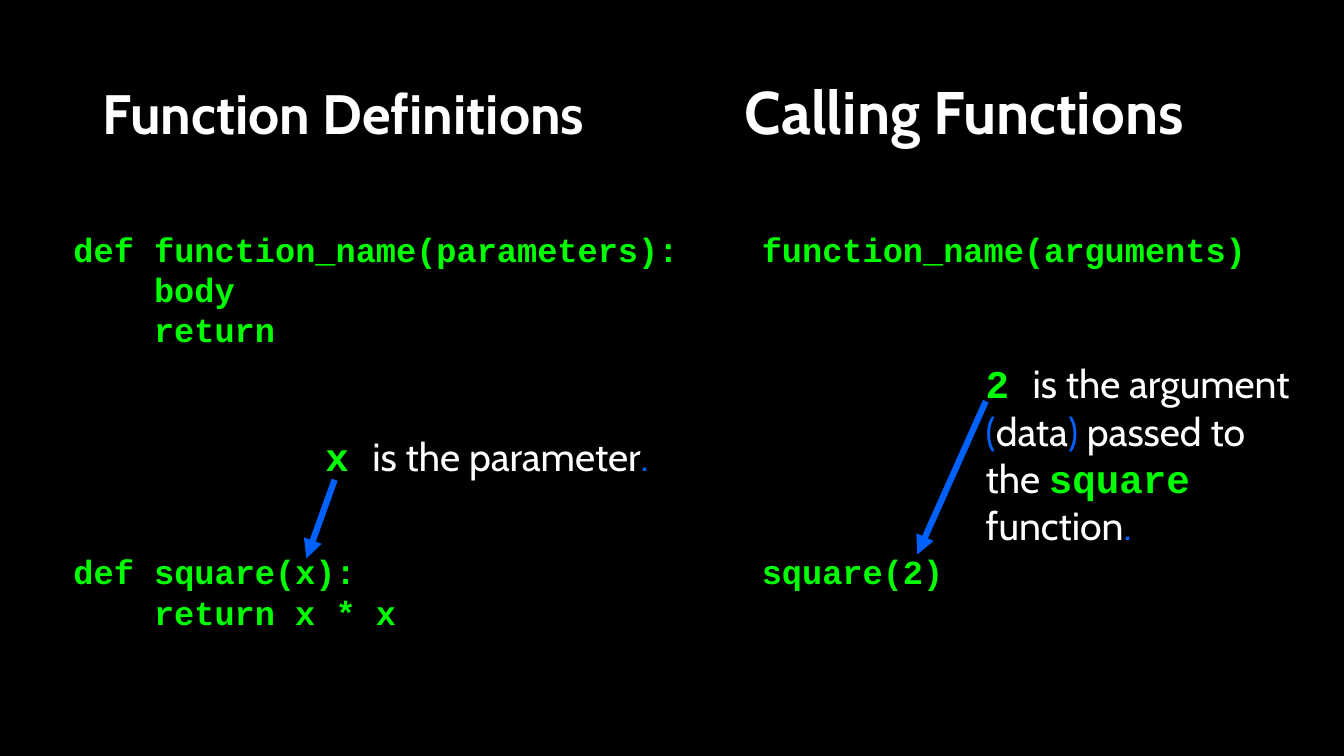
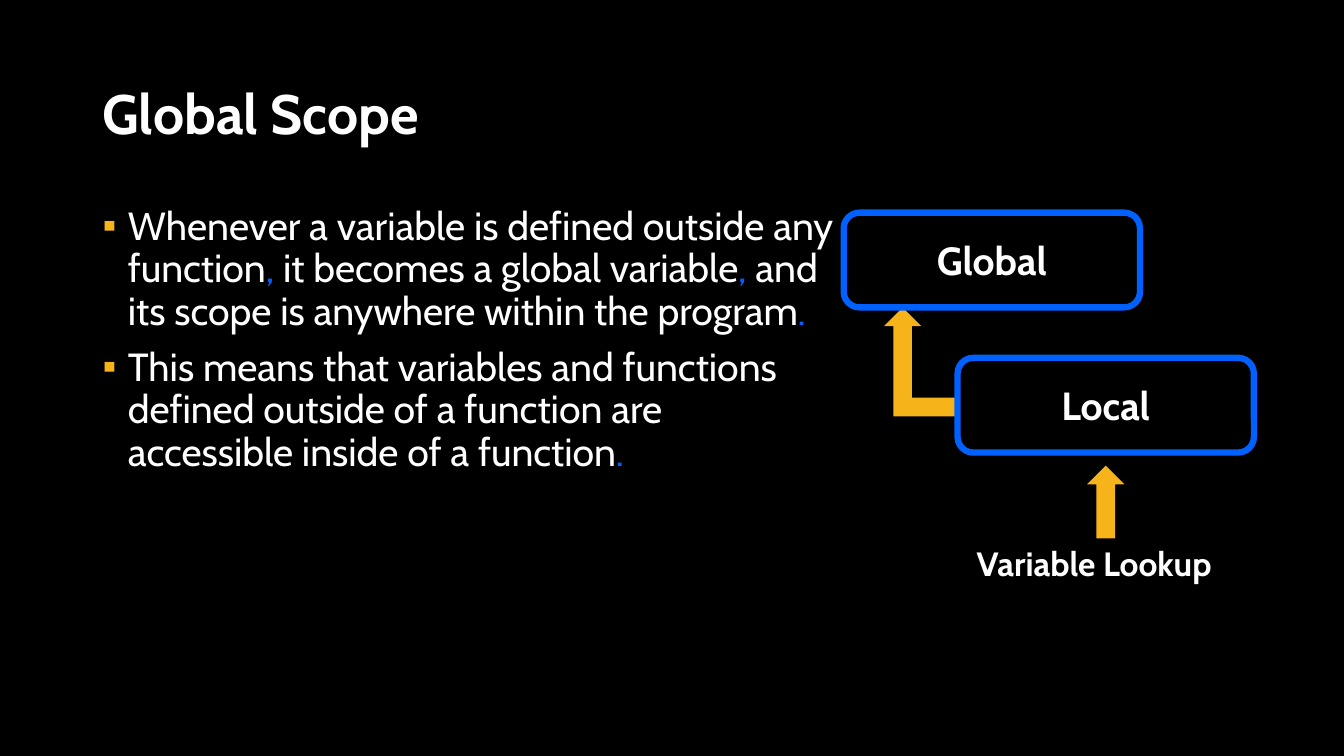
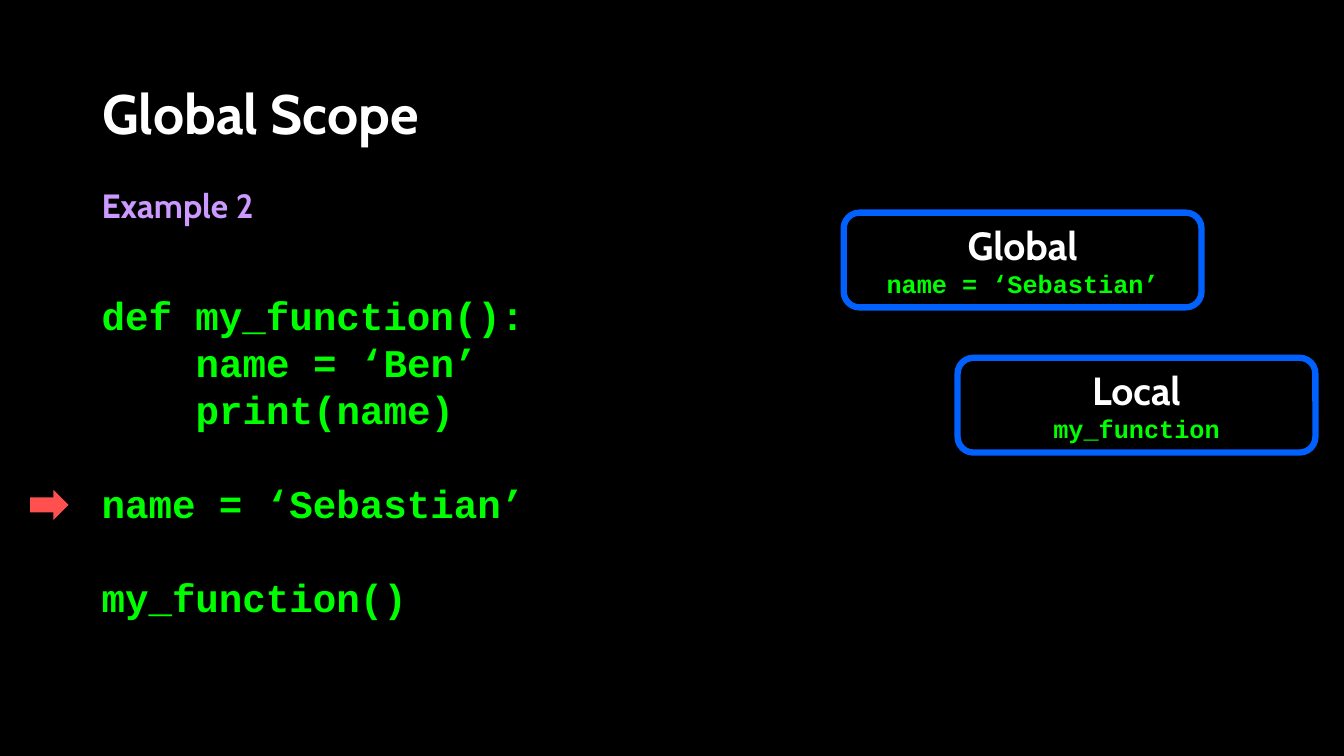
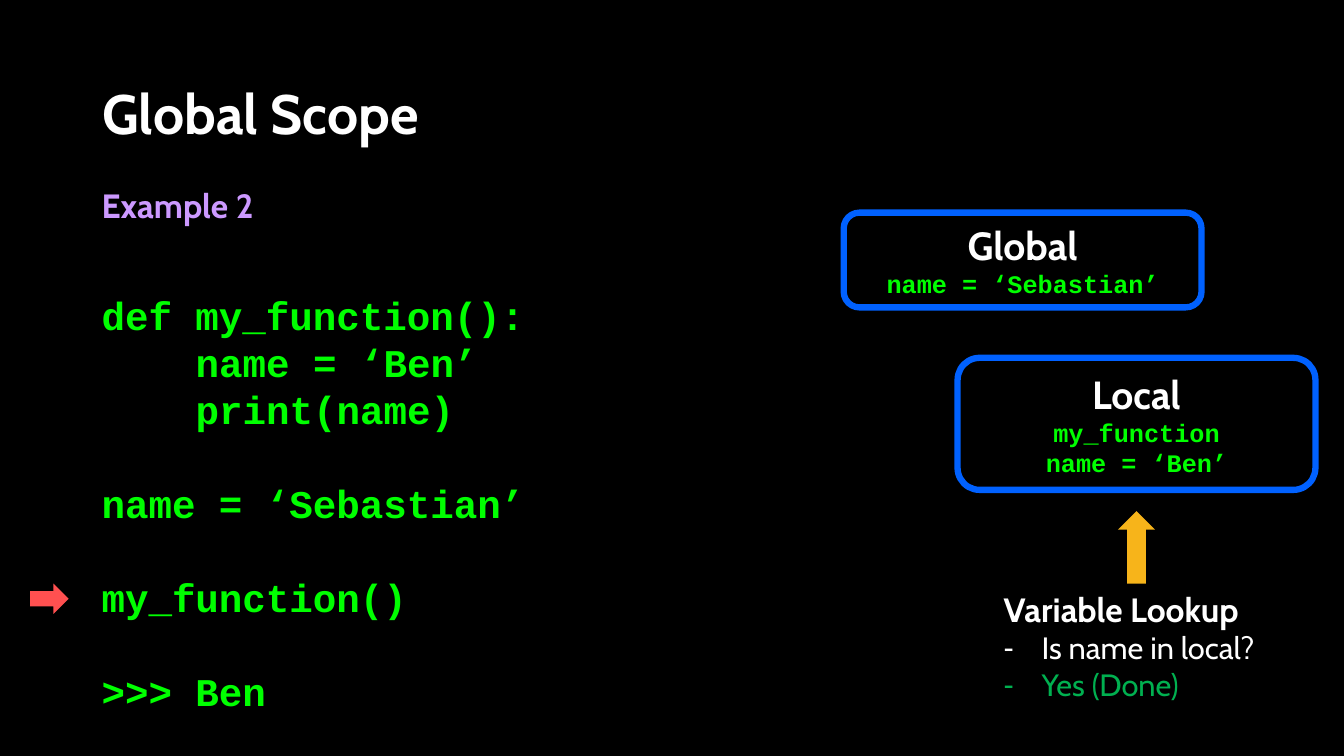
from dataclasses import dataclass
from typing import NamedTuple

from lxml import etree
from pptx import Presentation
from pptx.dml.color import RGBColor
from pptx.enum.shapes import MSO_CONNECTOR, MSO_SHAPE
from pptx.enum.text import MSO_ANCHOR, PP_ALIGN
from pptx.oxml.ns import qn
from pptx.util import Emu, Inches, Pt

LINE = MSO_CONNECTOR.STRAIGHT
ROUND = MSO_SHAPE.ROUNDED_RECTANGLE
UP = MSO_SHAPE.UP_ARROW
BENT = MSO_SHAPE.BENT_UP_ARROW
RIGHT = MSO_SHAPE.RIGHT_ARROW
TOP, MIDDLE = MSO_ANCHOR.TOP, MSO_ANCHOR.MIDDLE
CENTER = PP_ALIGN.CENTER

# The slide is a grid of 80 columns and 45 rows.
CELL = Inches(1 / 6)
COLS, ROWS = 80, 45

BLACK, WHITE, GREEN, BLUE = "000000", "FFFFFF", "00FF00", "0061FF"
GOLD, RED, LILAC, LEAF = "F7B41A", "FF5050", "CC99FF", "00B050"
SANS, MONO = "Cabin", "Courier New"
LEAD = 1.2      # height of a code line, as a share of its size
TAB = 4 * 0.6   # width of four code letters, as a share of their size
STROKE = 4.5


class Style(NamedTuple):
    size: float
    color: str = WHITE
    font: str = SANS
    bold: bool = False


class Run(NamedTuple):
    text: str
    style: Style


class Box(NamedTuple):
    """Left, top, width and height in grid cells."""
    x: float
    y: float
    w: float
    h: float


class Code(NamedTuple):
    """A line of code, its indent level and the empty lines above it."""
    text: str
    level: int = 0
    gap: int = 0


@dataclass
class Para:
    runs: list[Run]
    align: PP_ALIGN | None = None
    before: float = 0
    lead: float | None = None
    left: float = 0
    bullet: str = ""
    dot: str = ""


HEAD = Style(39.6, bold=True)
CALL = Style(42.9, bold=True)
NAME = Style(28, bold=True)
LABEL = Style(24, bold=True)
TOPIC = Style(24, LILAC, bold=True)
BODY = Style(28)
MARK = Style(28, BLUE)
WORD = Style(28, GREEN, MONO, True)
SMALL = Style(18, GREEN, MONO, True)
ASK = Style(22)
DONE = Style(22, LEAF)


def cells(value: float) -> Emu:
    return Emu(round(value * CELL))


def rgb(color: str) -> RGBColor:
    return RGBColor.from_string(color)


def set_font(font, style: Style) -> None:
    font.size = Pt(style.size)
    font.name = style.font
    font.bold = style.bold
    font.color.rgb = rgb(style.color)


def set_bullet(props, para: Para) -> None:
    if para.dot:
        color = etree.SubElement(props, qn("a:buClr"))
        etree.SubElement(color, qn("a:srgbClr"), val=para.dot)
    etree.SubElement(props, qn("a:buFont"), typeface="Arial")
    etree.SubElement(props, qn("a:buChar"), char=para.bullet)


def write(frame, paras: list[Para], anchor=TOP) -> None:
    frame.word_wrap = True
    frame.vertical_anchor = anchor
    for i, para in enumerate(paras):
        line = frame.paragraphs[0] if i == 0 else frame.add_paragraph()
        line.alignment = para.align
        line.space_before = Pt(para.before)
        if para.lead:
            line.line_spacing = para.lead
        props = line._p.get_or_add_pPr()
        if para.left:
            props.set("marL", str(Pt(para.left)))
        if para.bullet:
            props.set("indent", str(-Pt(para.left)))
            set_bullet(props, para)
        same = len({run.style for run in para.runs}) == 1
        if same:
            set_font(line.font, para.runs[0].style)
        for part in para.runs:
            run = line.add_run()
            run.text = part.text
            if not same:
                set_font(run.font, part.style)


def add_text(slide, box: Box, paras: list[Para], anchor=TOP) -> None:
    shape = slide.shapes.add_textbox(*map(cells, box))
    write(shape.text_frame, paras, anchor)


def add_title(slide, text: str, box: Box = Box(5.52, 4.8, 69, 4.32),
              style: Style = HEAD, lead: float = 0.9) -> None:
    add_text(slide, box, [Para([Run(text, style)], lead=lead)], MIDDLE)


def add_code(slide, box: Box, lines: list[Code], size: float) -> None:
    style = Style(size, GREEN, MONO, True)
    add_text(slide, box, [
        Para([Run(line.text, style)], left=line.level * TAB * size,
             before=line.gap * LEAD * size) for line in lines])


def add_arrow(slide, kind: MSO_SHAPE, box: Box, color: str = GOLD):
    shape = slide.shapes.add_shape(kind, *map(cells, box))
    shape.shadow.inherit = False
    shape.fill.solid()
    shape.fill.fore_color.rgb = rgb(color)
    shape.line.fill.background()
    return shape


def add_line(slide, *ends: float) -> None:
    """Draw an arrow from the first point to the second."""
    line = slide.shapes.add_connector(LINE, *map(cells, ends))
    line.line.color.rgb = rgb(BLUE)
    line.line.width = Pt(STROKE)
    etree.SubElement(line.line._get_or_add_ln(), qn("a:tailEnd"), type="triangle")
    etree.SubElement(line._element.spPr, qn("a:effectLst"))


def add_scope(slide, box: Box, name: str, *items: str) -> None:
    shape = slide.shapes.add_shape(ROUND, *map(cells, box))
    shape.shadow.inherit = False
    shape.fill.background()
    shape.line.color.rgb = rgb(BLUE)
    shape.line.width = Pt(STROKE)
    runs = [Run(name, NAME)] + [Run(item, SMALL) for item in items]
    write(shape.text_frame, [Para([run], CENTER) for run in runs], MIDDLE)


def add_scopes(slide, wide: float, tall: float, outer: list[str],
               inner: list[str]) -> None:
    add_scope(slide, Box(50.22, 12.66, wide, 5.64), "Global", *outer)
    add_scope(slide, Box(57, 21.3, wide, tall), "Local", *inner)


def add_lookup(slide, mid: float, top: float, text: Box,
               notes: list[Para]) -> None:
    """Draw the arrow into the local scope, and the label below it."""
    add_arrow(slide, UP, Box(mid - 1.11, top, 2.22, 4.32))
    add_text(slide, text, [Para([Run("Variable Lookup", LABEL)]), *notes])


def add_calls(slide) -> None:
    add_title(slide, "Function Definitions", Box(5.52, 4.8, 34.8, 4.32))
    add_title(slide, "Calling Functions", Box(43.74, 4.8, 30.84, 4.32), CALL, 0.8)
    add_code(slide, Box(3.78, 13.32, 37.5, 24.84), [
        Code("def function_name(parameters):"),
        Code("body", 1),
        Code("return", 1),
        Code("def square(x):", gap=5),
        Code("return x * x", 1)], 24)
    add_code(slide, Box(44.76, 13.32, 30.24, 22.44), [
        Code("function_name(arguments)"),
        Code("square(2)", gap=7)], 24)
    add_text(slide, Box(18.78, 25.44, 20.46, 3.42), [Para([
        Run("x ", WORD), Run("is the parameter", BODY), Run(".", MARK)])])
    add_text(slide, Box(58.08, 21.12, 20.16, 11.94), [Para([
        Run("2 ", WORD), Run("is the argument ", BODY), Run("(", MARK),
        Run("data", BODY), Run(")", MARK), Run(" passed to the ", BODY),
        Run("square ", WORD), Run("function", BODY), Run(".", MARK)])])
    add_line(slide, 19.92, 28.56, 18.24, 33.24)
    add_line(slide, 58.68, 23.88, 54.6, 33)


def add_rules(slide) -> None:
    add_title(slide, "Global Scope")
    points = [
        [Run("Whenever a variable is defined outside any function", BODY),
         Run(",", MARK), Run(" it becomes a global variable", BODY),
         Run(",", MARK),
         Run(" and its scope is anywhere within the program", BODY),
         Run(".", MARK)],
        [Run("This means that variables and functions defined outside of a "
             "function are accessible inside of a function", BODY),
         Run(".", MARK)]]
    add_text(slide, Box(5.52, 12, 44.7, 31.92), [
        Para(runs, before=10, lead=0.9, left=18, bullet="▪", dot=GOLD)
        for runs in points])
    add_lookup(slide, 65.82, 27.72, Box(57.54, 32.04, 16.5, 3), [])
    bent = add_arrow(slide, BENT, Box(52.62, 18.3, 4.44, 6.48))
    bent._element.spPr.xfrm.set("flipH", "1")
    add_scopes(slide, 17.64, 5.64, [], [])


def add_example(slide, step: float, tall: float, inner: list[str],
                output: list[Code]) -> None:
    """Draw the program, with a pointer whose top is at row step."""
    add_title(slide, "Global Scope")
    add_text(slide, Box(5.46, 10.74, 10.98, 3), [Para([Run("Example 2", TOPIC)])])
    add_code(slide, Box(5.46, 17.04, 28.02, 26.04), [
        Code("def my_function():"),
        Code("name = ‘Ben’", 1),
        Code("print(name)", 1),
        Code("name = ‘Sebastian’", gap=1),
        Code("my_function()", gap=1),
        *output], 28)
    add_arrow(slide, RIGHT, Box(1.8, step, 2.28, 1.8), RED)
    add_scopes(slide, 21.3, tall, ["name = ‘Sebastian’"], inner)


def main() -> None:
    deck = Presentation()
    deck.slide_width, deck.slide_height = cells(COLS), cells(ROWS)
    back = deck.slide_master.background.fill
    back.solid()
    back.fore_color.rgb = rgb(BLACK)
    blank = deck.slide_layouts[6]
    calls, rules, start, end = (deck.slides.add_slide(blank) for _ in range(4))

    add_calls(calls)
    add_rules(rules)
    add_example(start, 29.16, 5.64, ["my_function"], [])
    add_example(end, 34.74, 7.86, ["my_function", "name = ‘Ben’"],
                [Code(">>> Ben", gap=1)])
    add_lookup(end, 67.65, 30.42, Box(59.16, 34.74, 16.98, 7.5), [
        Para([Run(text, style)], left=27, bullet="-")
        for text, style in (("Is name in local?", ASK), ("Yes (Done)", DONE))])
    deck.save("out.pptx")


if __name__ == "__main__":
    main()
